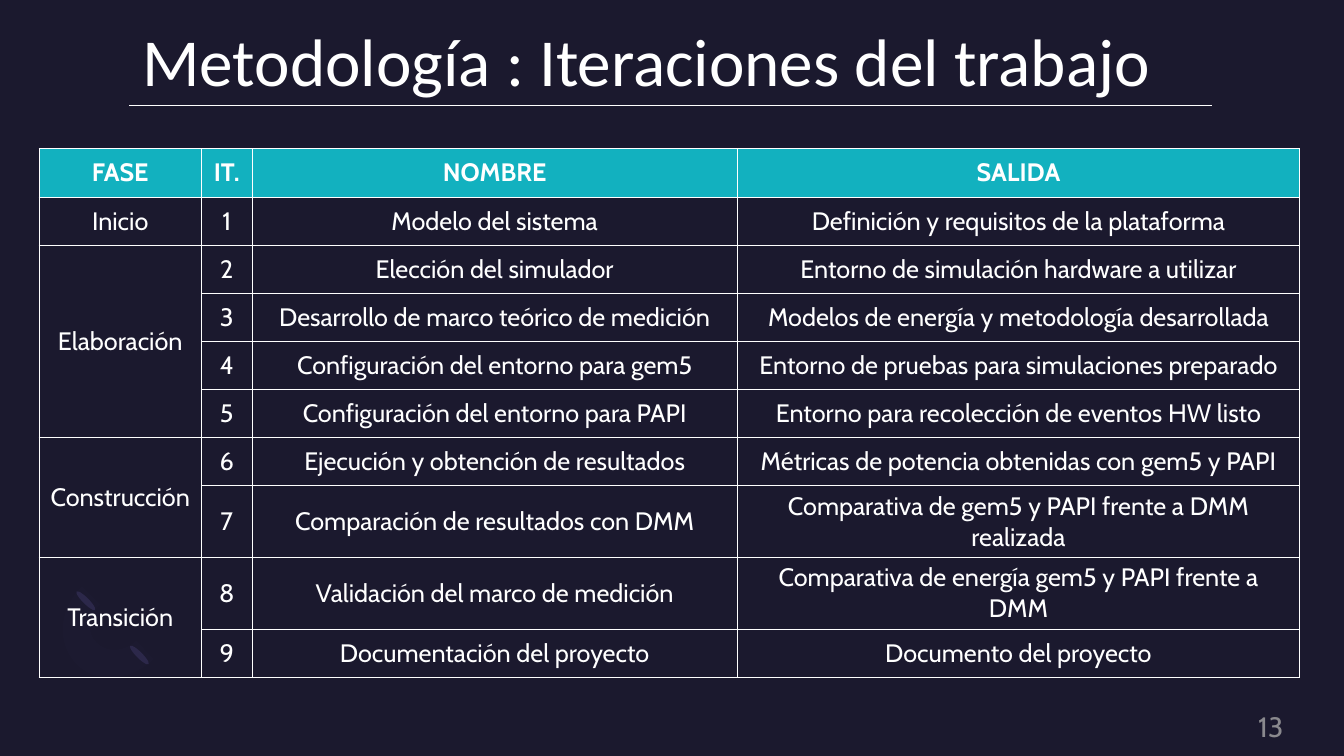
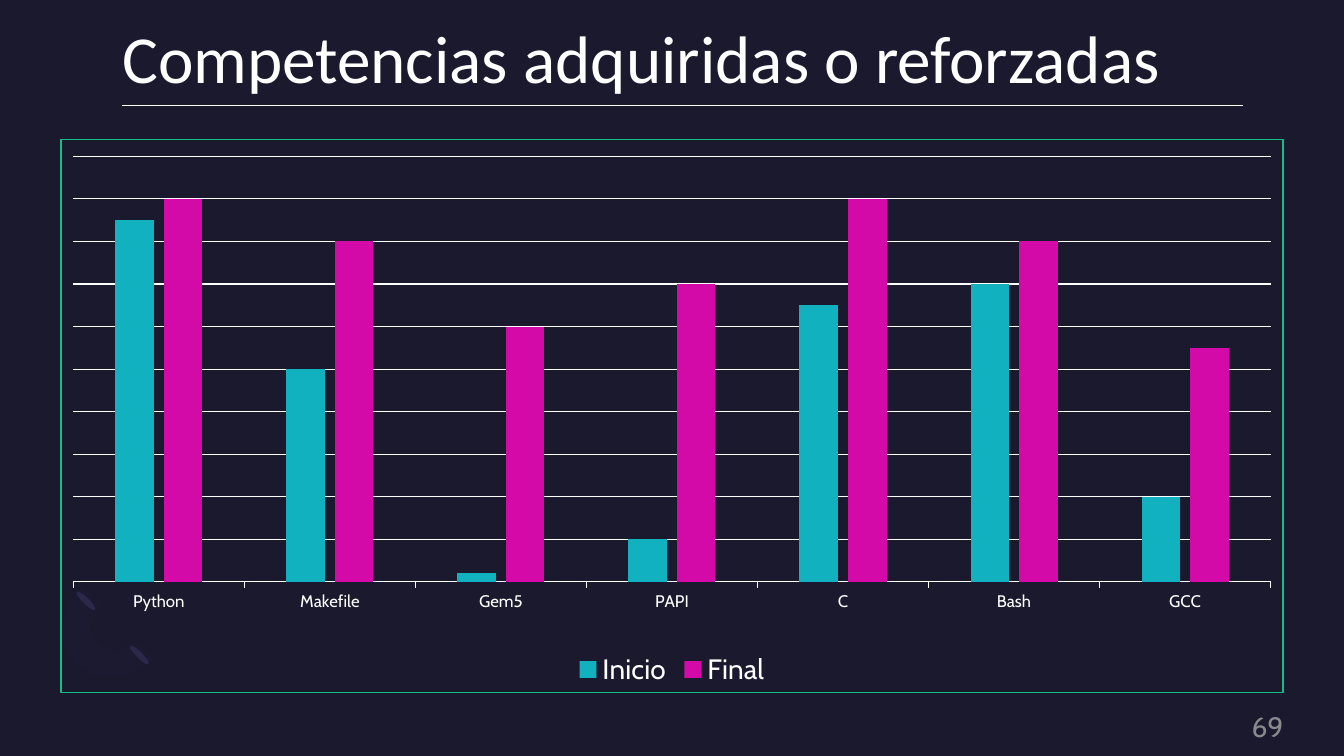
from dataclasses import dataclass
from itertools import product

from pptx import Presentation
from pptx.chart.data import CategoryChartData
from pptx.dml.color import RGBColor
from pptx.enum.chart import XL_CHART_TYPE as ChartType
from pptx.enum.chart import XL_LEGEND_POSITION as LegendPosition
from pptx.enum.chart import XL_TICK_LABEL_POSITION as LabelPosition
from pptx.enum.chart import XL_TICK_MARK as TickMark
from pptx.enum.shapes import MSO_CONNECTOR as Connector
from pptx.enum.shapes import MSO_SHAPE as Preset
from pptx.enum.text import MSO_ANCHOR as Anchor
from pptx.enum.text import MSO_AUTO_SIZE as AutoSize
from pptx.enum.text import PP_ALIGN as Align
from pptx.oxml import parse_xml
from pptx.oxml.ns import nsdecls, qn
from pptx.oxml.xmlchemy import OxmlElement
from pptx.util import Inches, Pt

NIGHT, WHITE, GREY = "1B192E", "FFFFFF", "A6A6A6"
TEAL, MAGENTA, GREEN = "12B1BF", "D40AA8", "13BE89"
INDIGO, LILAC = "2C284A", "7771B2"
TITLE_FONT, BODY_FONT = "Calibri", "Cabin"

HEADINGS = ["FASE", "IT.", "NOMBRE", "SALIDA"]
COLUMN_SHARES = [129, 40, 385, 446]
PHASES = {
    "Inicio": [
        ("Modelo del sistema", "Definición y requisitos de la plataforma"),
    ],
    "Elaboración": [
        ("Elección del simulador", "Entorno de simulación hardware a utilizar"),
        ("Desarrollo de marco teórico de medición", "Modelos de energía y metodología desarrollada"),
        ("Configuración del entorno para gem5", "Entorno de pruebas para simulaciones preparado"),
        ("Configuración del entorno para PAPI", "Entorno para recolección de eventos HW listo"),
    ],
    "Construcción": [
        ("Ejecución y obtención de resultados", "Métricas de potencia obtenidas con gem5 y PAPI"),
        ("Comparación de resultados con DMM", "Comparativa de gem5 y PAPI frente a DMM realizada"),
    ],
    "Transición": [
        ("Validación del marco de medición", "Comparativa de energía gem5 y PAPI frente a DMM"),
        ("Documentación del proyecto", "Documento del proyecto"),
    ],
}

SKILLS = ["Python", "Makefile", "Gem5", "PAPI", "C", "Bash", "GCC"]
LEVELS = {
    "Inicio": (TEAL, [8.5, 5, 0.2, 1, 6.5, 7, 2]),
    "Final": (MAGENTA, [9, 8, 6, 7, 9, 8, 5.5]),
}


@dataclass
class Box:
    """A rectangle whose regions are given in thousandths of its size."""

    left: int
    top: int
    width: int
    height: int

    def point(self, x, y):
        """Return the place of a point inside the box."""
        return self.left + self.width * x // 1000, self.top + self.height * y // 1000

    def region(self, x, y, width, height):
        """Return a smaller box inside this one."""
        return Box(*self.point(x, y), self.width * width // 1000, self.height * height // 1000)

    @property
    def frame(self):
        """Return left, top, width and height."""
        return self.left, self.top, self.width, self.height


PAGE = Box(0, 0, Inches(13.33), Inches(7.5))


def rgb(hex_code):
    """Turn a hex string into a colour."""
    return RGBColor.from_string(hex_code)


def paint(fill, hex_code):
    """Give a fill one solid colour."""
    fill.solid()
    fill.fore_color.rgb = rgb(hex_code)


def stroke(line, hex_code, points):
    """Set the colour and width of a line."""
    line.color.rgb = rgb(hex_code)
    line.width = Pt(points)


def fade(element, percent):
    """Set the opacity of every colour inside an element."""
    for colour in element.iter(qn("a:srgbClr")):
        alpha = OxmlElement("a:alpha")
        alpha.set("val", str(percent * 1000))
        colour.append(alpha)


def set_font(font, size, hex_code, name=BODY_FONT, bold=False):
    """Format a font."""
    font.size, font.name, font.bold = Pt(size), name, bold
    font.color.rgb = rgb(hex_code)


def clear_margins(frame):
    """Remove the insets of a text frame and let it wrap."""
    frame.margin_left = frame.margin_top = frame.margin_right = frame.margin_bottom = 0
    frame.word_wrap = True
    frame.auto_size = AutoSize.NONE


def curve(*controls, steps=12):
    """Return points along a cubic curve, without its start."""
    points = []
    for step in range(1, steps + 1):
        t = step / steps
        weights = ((1 - t) ** 3, 3 * t * (1 - t) ** 2, 3 * t * t * (1 - t), t**3)
        points.append(tuple(round(sum(w * c[axis] for w, c in zip(weights, controls))) for axis in (0, 1)))
    return points


def add_ornament(slide, box):
    """Draw the faint ring and its two streaks."""
    start, upper, inner, lower, corner = (206, 794), (443, 186), (412, 577), (814, 557), (990, 742)
    ring = [
        *curve(start, (0, 588), (21, 237), (258, 0)),
        upper,
        *curve(upper, (320, 299), (309, 485), inner),
        *curve(inner, (515, 680), (691, 670), lower),
        corner,
        *curve(corner, (763, 969), (402, 1000), start),
    ]
    outline = slide.shapes.build_freeform(*box.point(*start))
    outline.add_line_segments([box.point(*point) for point in ring], close=True)
    arc = outline.convert_to_shape()
    streaks = [
        slide.shapes.add_shape(Preset.OVAL, *box.region(x, y, 62, 268).frame)
        for x, y in ((814, 567), (268, 10))
    ]
    for shape, colour in ((arc, LILAC), *((streak, INDIGO) for streak in streaks)):
        shape.shadow.inherit = False
        paint(shape.fill, colour)
        shape.line.fill.background()
    for streak in streaks:
        streak.rotation = 135
    fade(arc._element.spPr, 2)


def add_title(slide, wording, box):
    """Place and format the title."""
    title = slide.shapes.title
    title.left, title.top, title.width, title.height = box.frame
    frame = title.text_frame
    frame.text = wording
    clear_margins(frame)
    frame.vertical_anchor = Anchor.TOP
    heading = frame.paragraphs[0]
    heading.alignment = Align.LEFT
    heading.line_spacing = 0.9
    set_font(heading.runs[0].font, 48, WHITE, TITLE_FONT)


def add_rule(slide, box):
    """Draw the thin line along the top of a box."""
    rule = slide.shapes.add_connector(Connector.STRAIGHT, *box.point(0, 0), *box.point(1000, 0))
    stroke(rule.line, WHITE, 0.5)
    rule._element.spPr.append(OxmlElement("a:effectLst"))


def add_page_number(slide, number, box):
    """Write the page number at the lower right."""
    frame = slide.shapes.add_textbox(*box.frame).text_frame
    frame.text = str(number)
    clear_margins(frame)
    frame.vertical_anchor = Anchor.MIDDLE
    label = frame.paragraphs[0]
    label.alignment = Align.RIGHT
    set_font(label.runs[0].font, 20, GREY)
    fade(label.runs[0]._r, 80)


def add_page(deck, wording, title_box, rule_box, number):
    """Add a slide with the shared elements."""
    slide = deck.slides.add_slide(deck.slide_layouts[5])
    add_ornament(slide, PAGE.region(42, 776, 73, 129))
    add_title(slide, wording, title_box)
    add_rule(slide, rule_box)
    add_page_number(slide, number, PAGE.region(816, 949, 139, 23))
    return slide


def add_borders(cell):
    """Draw a white line on each side of a cell."""
    properties = cell._tc.get_or_add_tcPr()
    for position, side in enumerate("LRTB"):
        properties.insert(position, parse_xml(
            f'<a:ln{side} {nsdecls("a")} w="{Pt(0.75)}"><a:solidFill>'
            f'<a:srgbClr val="{WHITE}"/></a:solidFill></a:ln{side}>'
        ))


def format_cell(cell, is_heading):
    """Give a table cell its fill, text style and borders."""
    cell.vertical_anchor = Anchor.MIDDLE
    if is_heading:
        paint(cell.fill, TEAL)
    else:
        cell.fill.background()
    for paragraph in cell.text_frame.paragraphs:
        paragraph.alignment = Align.CENTER
        for run in paragraph.runs:
            set_font(run.font, 18, WHITE, bold=is_heading)
    add_borders(cell)


def add_iterations(slide, box):
    """Build the table of phases and iterations."""
    row_count = 1 + sum(len(steps) for steps in PHASES.values())
    table = slide.shapes.add_table(row_count, len(HEADINGS), *box.frame).table
    table.horz_banding = False
    for column, share in zip(table.columns, COLUMN_SHARES):
        column.width = box.width * share // 1000
    for row in table.rows:
        row.height = box.height // row_count
    for column, heading in enumerate(HEADINGS):
        table.cell(0, column).text = heading
    iteration = 1
    for phase, steps in PHASES.items():
        first = table.cell(iteration, 0)
        first.text = phase
        if len(steps) > 1:
            first.merge(table.cell(iteration + len(steps) - 1, 0))
        for step in steps:
            for column, wording in enumerate((str(iteration), *step), start=1):
                table.cell(iteration, column).text = wording
            iteration += 1
    for row, column in product(range(row_count), range(len(HEADINGS))):
        format_cell(table.cell(row, column), row == 0)


def frame_chart(chart):
    """Give the chart its border and fix the place of its plot."""
    body = chart._chartSpace.find(qn("c:chart"))
    body.addnext(parse_xml(
        f'<c:spPr {nsdecls("c", "a")}><a:noFill/><a:ln w="{Pt(1)}"><a:solidFill>'
        f'<a:srgbClr val="{GREEN}"/></a:solidFill></a:ln></c:spPr>'
    ))
    plot_area = body.find(qn("c:plotArea"))
    for layout in plot_area.findall(qn("c:layout")):
        plot_area.remove(layout)
    modes = '<c:layoutTarget val="inner"/><c:xMode val="edge"/><c:yMode val="edge"/>'
    shares = {"x": 0.01, "y": 0.03, "w": 0.98, "h": 0.77}
    sizes = "".join(f'<c:{key} val="{share}"/>' for key, share in shares.items())
    plot_area.insert(0, parse_xml(
        f'<c:layout {nsdecls("c")}><c:manualLayout>{modes}{sizes}</c:manualLayout></c:layout>'
    ))


def add_skill_levels(slide, box):
    """Build the column chart of skill levels."""
    levels = CategoryChartData()
    levels.categories = SKILLS
    for name, (_, values) in LEVELS.items():
        levels.add_series(name, values)
    chart = slide.shapes.add_chart(ChartType.COLUMN_CLUSTERED, *box.frame, levels).chart
    chart.has_title = False
    set_font(chart.font, 10, WHITE)
    plot = chart.plots[0]
    plot.gap_width, plot.overlap, plot.vary_by_categories = 219, -27, False
    for series, (colour, _) in zip(plot.series, LEVELS.values()):
        paint(series.format.fill, colour)
    skills = chart.category_axis
    skills.major_tick_mark = TickMark.OUTSIDE
    skills.tick_label_position = LabelPosition.LOW
    set_font(skills.tick_labels.font, 12, WHITE)
    stroke(skills.format.line, WHITE, 0.75)
    scale = chart.value_axis
    scale.minimum_scale, scale.maximum_scale, scale.major_unit = 0, 10, 1
    scale.has_major_gridlines = True
    stroke(scale.major_gridlines.format.line, WHITE, 0.75)
    scale.visible = False
    chart.has_legend = True
    chart.legend.position = LegendPosition.BOTTOM
    chart.legend.include_in_layout = False
    set_font(chart.legend.font, 20, WHITE)
    frame_chart(chart)


def main():
    """Build and save the presentation."""
    deck = Presentation()
    deck.slide_width, deck.slide_height = PAGE.width, PAGE.height
    paint(deck.slide_master.background.fill, NIGHT)
    iterations = add_page(deck, "Metodología : Iteraciones del trabajo",
                          PAGE.region(106, 37, 789, 95), PAGE.region(96, 139, 806, 0), 13)
    add_iterations(iterations, PAGE.region(29, 197, 938, 637))
    skills = add_page(deck, "Competencias adquiridas o reforzadas",
                      PAGE.region(91, 33, 843, 95), PAGE.region(91, 139, 834, 0), 69)
    add_skill_levels(skills, PAGE.region(45, 184, 910, 733))
    deck.save("out.pptx")


if __name__ == "__main__":
    main()
